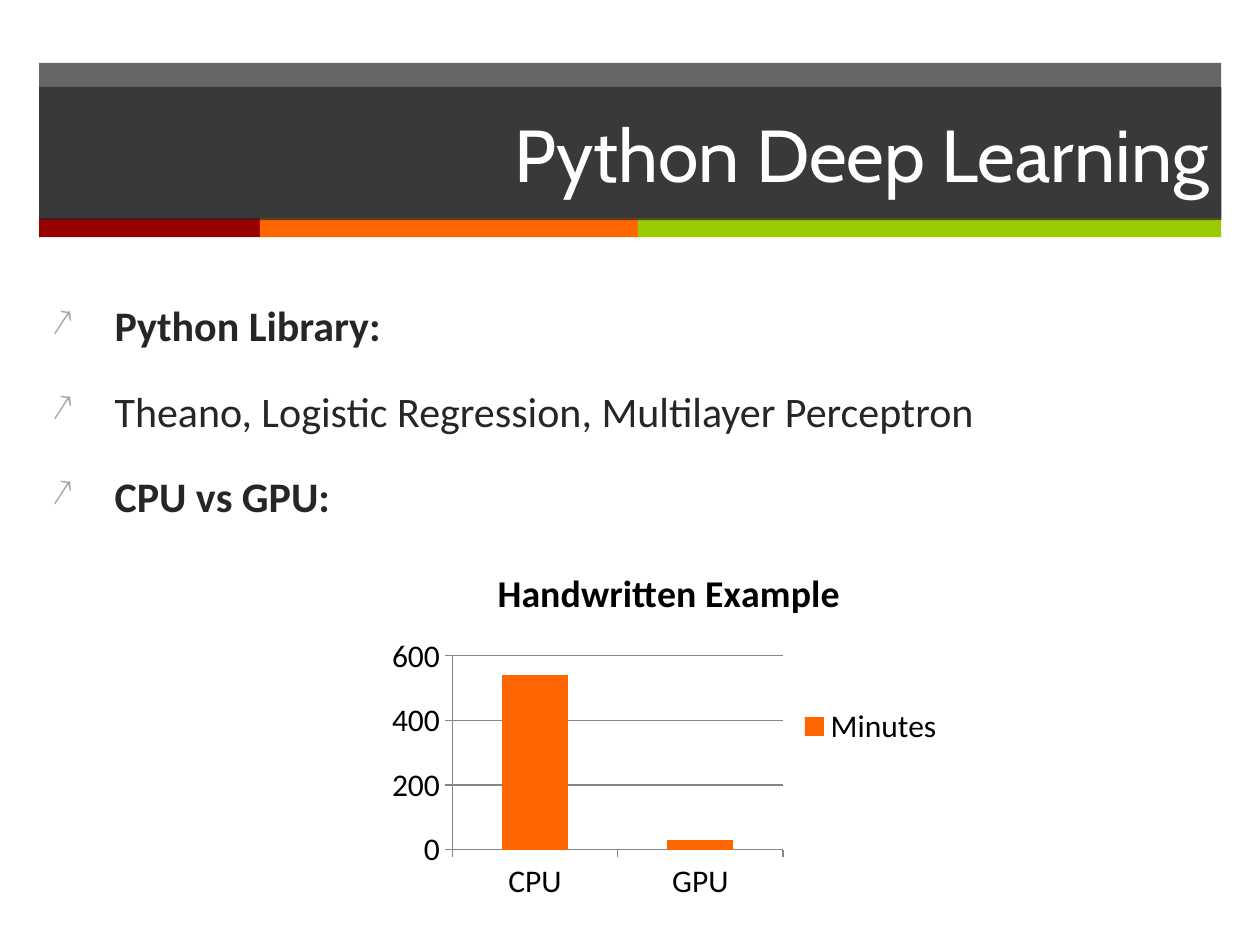
from collections import namedtuple

from lxml import etree
from pptx import Presentation
from pptx.chart.data import CategoryChartData
from pptx.dml.color import RGBColor
from pptx.enum.chart import XL_CHART_TYPE as ChartType
from pptx.enum.chart import XL_LEGEND_POSITION as LegendPosition
from pptx.enum.chart import XL_TICK_MARK as TickMark
from pptx.enum.shapes import MSO_SHAPE as Shape
from pptx.enum.text import MSO_ANCHOR as Anchor
from pptx.enum.text import PP_ALIGN as Align
from pptx.oxml.ns import qn
from pptx.util import Cm, Pt

Box = namedtuple("Box", "left top width height")
COLORS = {
    "dark": "262626",
    "red": "990000",
    "orange": "FF6600",
    "green": "99CC00",
    "bullet": "A6A6A6",
    "axis": "868686",
    "white": "FFFFFF",
    "black": "000000",
}
TITLE_FONT = "Cabin"
BODY_FONT = "Calibri"


def color(name):
    return RGBColor.from_string(COLORS[name])


def place(shape, box):
    shape.left, shape.top, shape.width, shape.height = map(Cm, box)


def paint(shape, name, opacity=100):
    shape.fill.solid()
    shape.fill.fore_color.rgb = color(name)
    if opacity < 100:
        fill = shape._element.spPr.find(qn("a:solidFill"))
        etree.SubElement(fill[0], qn("a:alpha"), val=str(opacity * 1000))
    shape.line.fill.background()


def add_band(page, box, name, opacity=100):
    band = page.shapes.add_shape(Shape.RECTANGLE, *map(Cm, box))
    band.shadow.inherit = False
    paint(band, name, opacity)


def style_font(font, face, size, name, bold=False):
    font.name, font.size, font.bold = face, Pt(size), bold
    font.color.rgb = color(name)


def add_span(para, text, *style):
    span = para.add_run()
    span.text = text
    style_font(span.font, *style)


def add_header(page, box, text):
    add_band(page, box._replace(height=3.15), "dark", 70)
    strip_height = 0.38
    left = box.left
    for name, width in (("red", 4.45), ("orange", 7.62), ("green", 11.76)):
        add_band(page, Box(left, box.top + box.height - strip_height, width, strip_height), name)
        left += width

    title = page.shapes.title
    page.shapes._spTree.append(title._element)
    place(title, Box(box.left, box.top + 0.48, box.width, 2.69))
    paint(title, "dark", 70)
    title.text_frame.vertical_anchor = Anchor.MIDDLE
    para = title.text_frame.paragraphs[0]
    para.alignment = Align.RIGHT
    add_span(para, text, TITLE_FONT, 42, "white")


def add_bullet(para, indent):
    props = para._p.get_or_add_pPr()
    props.set("marL", str(Cm(indent)))
    props.set("indent", str(-Cm(indent)))
    tint = etree.SubElement(props, qn("a:buClr"))
    etree.SubElement(tint, qn("a:srgbClr"), val=COLORS["bullet"])
    etree.SubElement(props, qn("a:buSzPct"), val="90000")
    etree.SubElement(props, qn("a:buChar"), char="↗")


def add_points(page, box, points):
    frame = page.shapes.add_textbox(*map(Cm, box)).text_frame
    frame.word_wrap = True
    for index, (text, bold) in enumerate(points):
        para = frame.add_paragraph() if index else frame.paragraphs[0]
        para.space_before = Pt(20)
        add_bullet(para, 1.27)
        add_span(para, text, BODY_FONT, 24, "dark", bold)


def add_timing_chart(page, box):
    data = CategoryChartData()
    data.categories = ["CPU", "GPU"]
    data.add_series("Minutes", [540, 30])
    chart = page.shapes.add_chart(ChartType.COLUMN_CLUSTERED, *map(Cm, box), data).chart
    style_font(chart.font, BODY_FONT, 18, "black")

    chart.has_title = True
    para = chart.chart_title.text_frame.paragraphs[0]
    add_span(para, "Handwritten Example", BODY_FONT, 21.6, "black", True)

    chart.has_legend = True
    chart.legend.position = LegendPosition.RIGHT
    chart.legend.include_in_layout = False

    scale = chart.value_axis
    scale.minimum_scale, scale.maximum_scale, scale.major_unit = 0, 600, 200
    scale.has_major_gridlines = True
    for axis in (chart.category_axis, scale):
        axis.major_tick_mark = TickMark.OUTSIDE
    for rule in (chart.category_axis, scale, scale.major_gridlines):
        rule.format.line.color.rgb = color("axis")
        rule.format.line.width = Pt(0.75)

    plot = chart.plots[0]
    plot.gap_width = 150
    plot.vary_by_categories = False
    bars = plot.series[0].format.fill
    bars.solid()
    bars.fore_color.rgb = color("orange")


def main():
    deck = Presentation()
    deck.slide_width, deck.slide_height = Cm(25.4), Cm(19.05)
    page = deck.slides.add_slide(deck.slide_layouts[5])
    add_header(page, Box(0.79, 1.27, 23.83, 3.51), "Python Deep Learning")
    add_points(page, Box(0.79, 5.92, 19.66, 11.1), [
        ("Python Library:", True),
        ("Theano, Logistic Regression, Multilayer Perceptron", False),
        ("CPU vs GPU:", True),
    ])
    add_timing_chart(page, Box(7.67, 11, 11.63, 7.29))
    deck.save("out.pptx")


if __name__ == "__main__":
    main()
